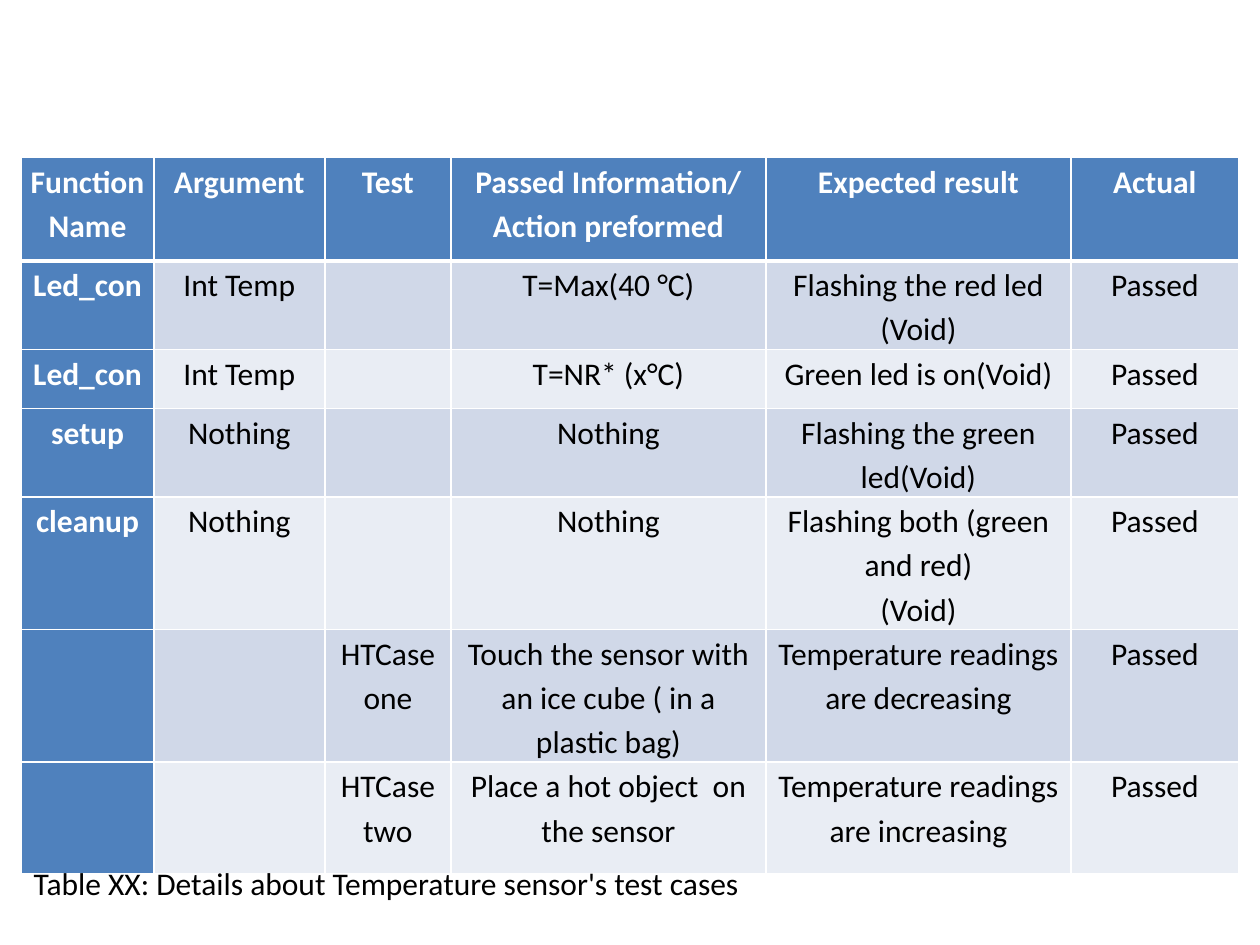
from lxml.etree import SubElement
from pptx import Presentation
from pptx.dml.color import RGBColor as RGB
from pptx.enum.text import MSO_AUTO_SIZE as AutoSize, PP_ALIGN as Align
from pptx.oxml.ns import qn
from pptx.util import Cm, Pt

COLORS = {
    "head": "4F81BD",
    "odd": "D0D8E8",
    "even": "E9EDF4",
    "light": "FFFFFF",
    "dark": "000000",
}
COLUMN_WIDTHS = [2.67, 3.45, 2.54, 6.35, 6.15, 3.38]
ROW_HEIGHTS = [2.08, 1.6, 1.19, 1.6, 2.41, 2.41, 2.24]
TEST_CASES = [
    ["Function\nName", "Argument", "Test",
     "Passed Information/\nAction preformed", "Expected result", "Actual"],
    ["Led_con", "Int Temp", "", "T=Max(40 °C)",
     "Flashing the red led (Void)", "Passed"],
    ["Led_con", "Int Temp", "", "T=NR* (x°C)",
     "Green led is on(Void)", "Passed"],
    ["setup", "Nothing", "", "Nothing",
     "Flashing the green led(Void)", "Passed"],
    ["cleanup", "Nothing", "", "Nothing",
     "Flashing both (green and red)\n(Void)", "Passed"],
    ["", "", "HTCase one",
     "Touch the sensor with an ice cube ( in a plastic bag)",
     "Temperature readings are decreasing", "Passed"],
    ["", "", "HTCase two", "Place a hot object  on the sensor",
     "Temperature readings are increasing", "Passed"],
]


class SlideBuilder:
    font_name = "Calibri"
    font_size = Pt(18)

    def __init__(self, slide):
        self.slide = slide

    def style(self, paragraph, color, bold=False):
        font = paragraph.font
        font.name, font.size, font.bold = self.font_name, self.font_size, bold
        font.color.rgb = RGB.from_string(COLORS[color])

    def border(self, cell, side, width):
        line = SubElement(cell._tc.get_or_add_tcPr(), qn(f"a:ln{side}"),
                          w=str(Pt(width)))
        fill = SubElement(line, qn("a:solidFill"))
        SubElement(fill, qn("a:srgbClr"), val=COLORS["light"])

    def cell(self, cell, text, row, column):
        is_head = row == 0 or column == 0
        cell.text = text
        cell.margin_left = cell.margin_right = Cm(0.17)
        cell.margin_top = cell.margin_bottom = 0
        for paragraph in cell.text_frame.paragraphs:
            paragraph.alignment = Align.CENTER
            paragraph.line_spacing = 1.15
            self.style(paragraph, "light" if is_head else "dark", is_head)
        widths = {"L": 1, "R": 1, "T": 3 if row == 1 else 1,
                  "B": 3 if row == 0 else 1}
        for side, width in widths.items():
            self.border(cell, side, width)
        band = "odd" if row % 2 else "even"
        cell.fill.solid()
        cell.fill.fore_color.rgb = RGB.from_string(
            COLORS["head" if is_head else band])

    def table(self, left, top, widths, heights, rows):
        table = self.slide.shapes.add_table(
            len(heights), len(widths), Cm(left), Cm(top),
            Cm(sum(widths)), Cm(sum(heights))).table
        table.first_col = True
        for column, width in zip(table.columns, widths):
            column.width = Cm(width)
        for r, (height, texts) in enumerate(zip(heights, rows)):
            table.rows[r].height = Cm(height)
            for c, text in enumerate(texts):
                self.cell(table.cell(r, c), text, r, c)

    def caption(self, left, top, width, height, text):
        frame = self.slide.shapes.add_textbox(
            Cm(left), Cm(top), Cm(width), Cm(height)).text_frame
        frame.word_wrap = True
        frame.auto_size = AutoSize.SHAPE_TO_FIT_TEXT
        frame.text = text
        self.style(frame.paragraphs[0], "dark")


def main():
    deck = Presentation()
    deck.slide_width, deck.slide_height = Cm(25.4), Cm(19.05)
    builder = SlideBuilder(deck.slides.add_slide(deck.slide_layouts[6]))
    builder.table(0.43, 3.18, COLUMN_WIDTHS, ROW_HEIGHTS, TEST_CASES)
    builder.caption(0.43, 17.3, 15.88, 1.02,
                    "Table XX: Details about Temperature sensor's test cases")
    deck.save("out.pptx")


if __name__ == "__main__":
    main()
